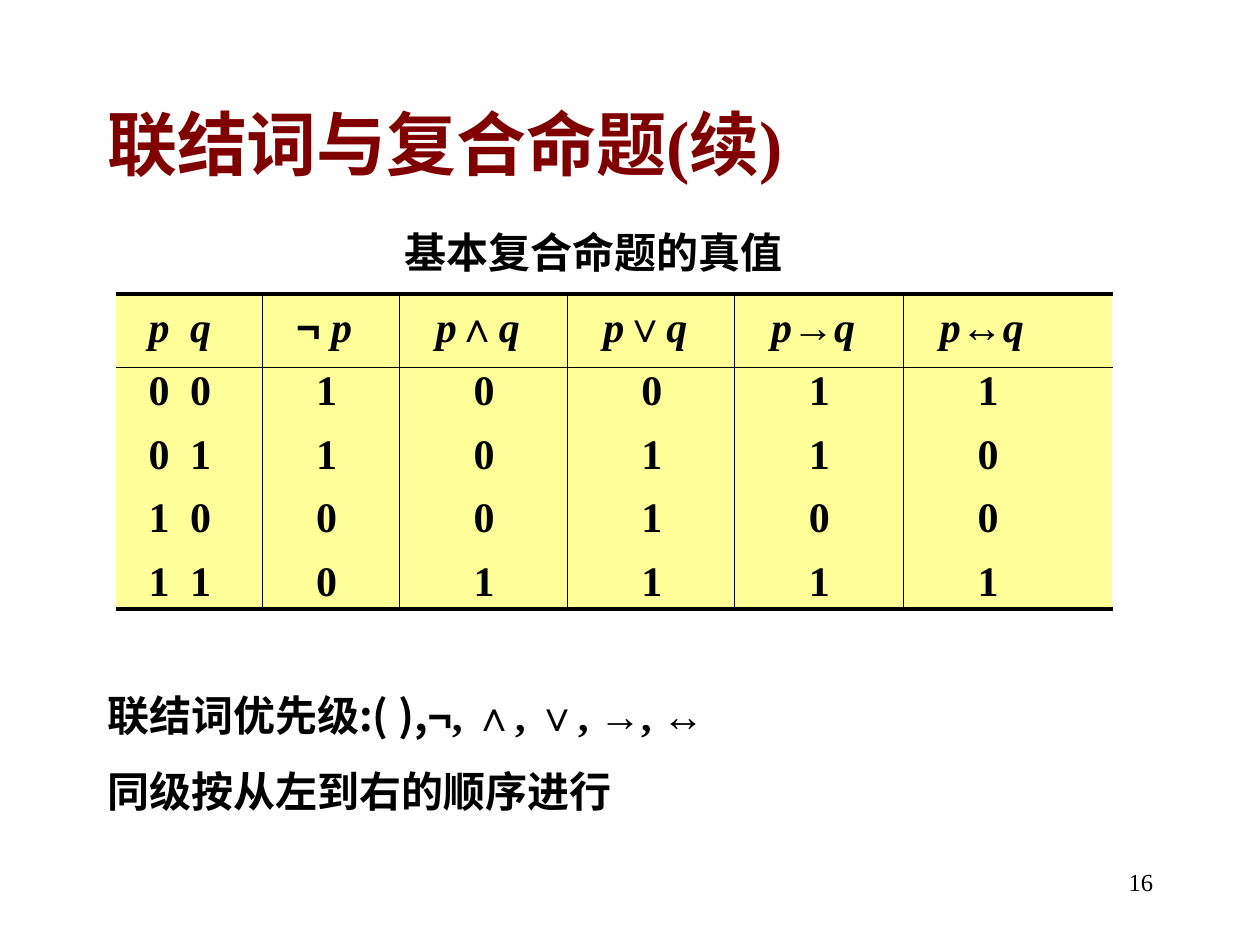
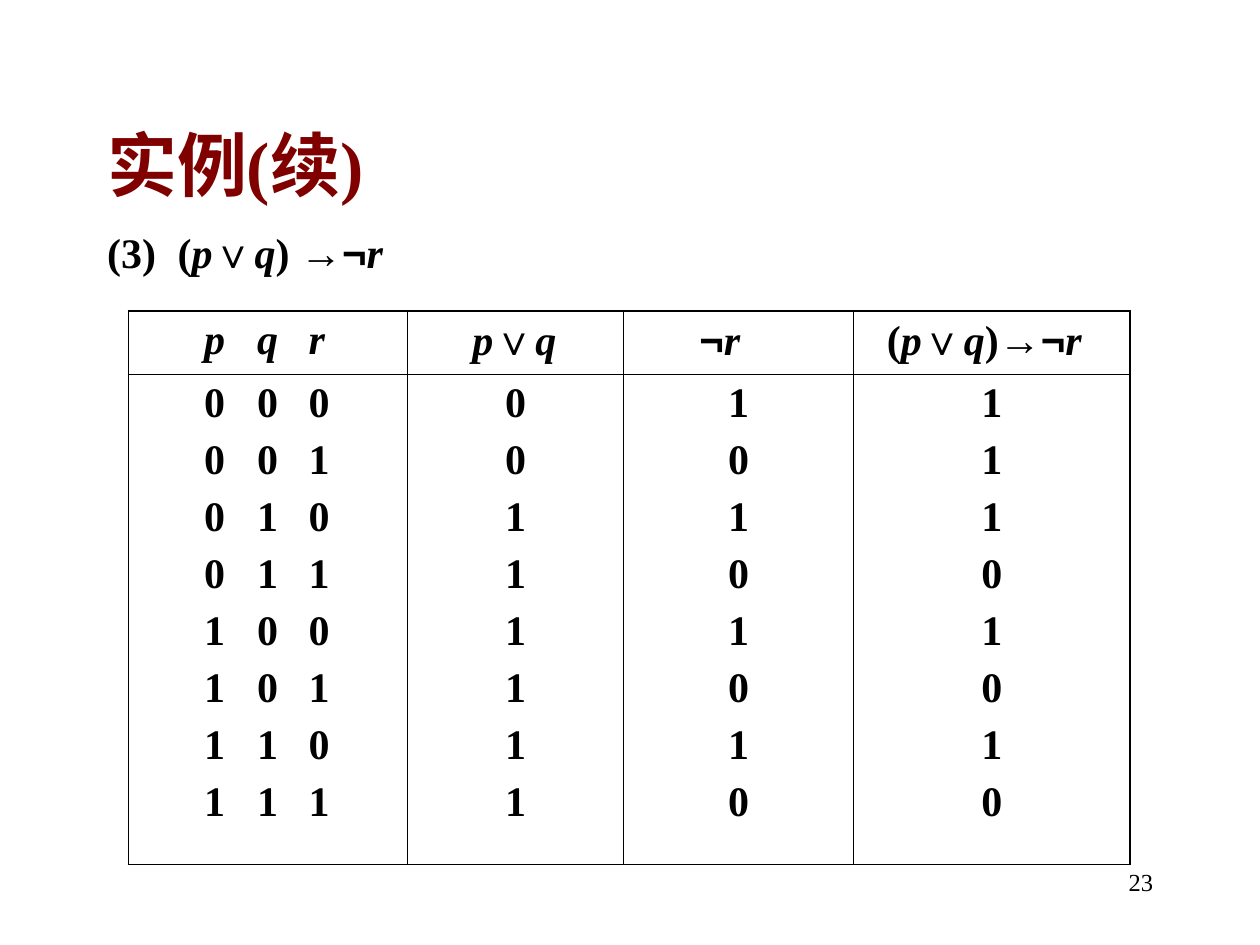
import itertools
import pptx
import pptx.dml.color
import pptx.enum.shapes
import pptx.enum.text
import pptx.oxml
import pptx.oxml.ns
import pptx.util

Inches = pptx.util.Inches
Pt = pptx.util.Pt
ALIGN = pptx.enum.text.PP_ALIGN
ANCHOR = pptx.enum.text.MSO_ANCHOR

HUES = {"title": "800000", "text": "000000", "cream": "FFFF99", "white": "FFFFFF"}
SERIF, SANS, HAN = "Times New Roman", "Arial", "Noto Sans CJK SC"
SIGNS = "¬∧∨→↔"
A_NS = pptx.oxml.ns.nsdecls("a")


def hue(name):
    return pptx.dml.color.RGBColor.from_string(HUES[name])


def kind(char):
    """Letters of formulas are slanted, logic signs take the sans font."""
    return "sign" if char in SIGNS else "var" if char in "pqr" else "plain"


def write(par, text, font=SERIF, size=24, color="text", bold=True):
    for sort, chars in itertools.groupby(text, kind):
        run = par.add_run()
        run.text = "".join(chars)
        face = SANS if sort == "sign" else font
        run.font.name, run.font.size, run.font.bold = face, Pt(size), bold
        run.font.italic = sort == "var"
        run.font.color.rgb = hue(color)
        east = SANS if sort == "sign" else HAN
        latin = run.font._element.find(pptx.oxml.ns.qn("a:latin"))
        latin.addnext(pptx.oxml.parse_xml(f'<a:ea {A_NS} typeface="{east}"/>'))


def set_tabs(par, stops):
    """Put tab stops, in inches from the left inset, into a paragraph."""
    marks = "".join(f'<a:tab pos="{Inches(x)}" algn="l"/>' for x in stops)
    props = par._p.get_or_add_pPr()
    props.append(pptx.oxml.parse_xml(f"<a:tabLst {A_NS}>{marks}</a:tabLst>"))


def place(shape, box):
    shape.left, shape.top, shape.width, shape.height = map(Inches, box)
    frame = shape.text_frame
    frame.word_wrap = True
    frame.auto_size = pptx.enum.text.MSO_AUTO_SIZE.NONE
    return frame


def add_text(slide, box, text, align, **style):
    par = place(slide.shapes.add_textbox(0, 0, 0, 0), box).paragraphs[0]
    par.alignment = align
    write(par, text, **style)


def add_page(deck, title, box, number):
    """Slide with the shared title style and page number."""
    slide = deck.slides.add_slide(deck.slide_layouts[1])
    frame = place(slide.shapes.title, box)
    frame.vertical_anchor = ANCHOR.MIDDLE
    frame.paragraphs[0].alignment = ALIGN.LEFT
    write(frame.paragraphs[0], title, size=40, color="title")
    add_text(slide, (7.17, 6.83, 2.08, 0.5), number, ALIGN.RIGHT, size=14, bold=False)
    return slide


def add_body(slide, box, lines, gap=0, hang=0):
    """Each line is a list of (text, font) pieces, without bullets."""
    frame = place(slide.placeholders[1], box)
    for i, line in enumerate(lines):
        par = frame.add_paragraph() if i else frame.paragraphs[0]
        par.space_before = Pt(gap if i else 0)
        props = par._p.get_or_add_pPr()
        props.set("marL", str(Inches(hang)))
        props.set("indent", str(-Inches(hang)))
        props.append(pptx.oxml.parse_xml(f"<a:buNone {A_NS}/>"))
        for text, font in line:
            write(par, text, font)


def edge(cell, side, width):
    """Draw one side of a cell; width 0 hides it."""
    fill = (f'<a:solidFill><a:srgbClr val="{HUES["text"]}"/></a:solidFill>'
            if width else "<a:noFill/>")
    line = pptx.oxml.parse_xml(f'<a:ln{side} {A_NS} w="{Pt(width)}">{fill}</a:ln{side}>')
    cell._tc.get_or_add_tcPr().append(line)


def add_truth(slide, box, cols, rows, heads, values, insets, look):
    """Truth table: a row of formulas over one row of value columns."""
    table = slide.shapes.add_table(2, len(cols), *map(Inches, box)).table
    table.horz_banding = table.first_row = False
    for col, width in zip(table.columns, cols):
        col.width = Inches(width)
    for row, height in zip(table.rows, rows):
        row.height = Inches(height)
    last = len(cols) - 1
    for r, lists in enumerate(([[head] for head in heads], values)):
        for c, texts in enumerate(lists):
            cell = table.cell(r, c)
            cell.margin_left, cell.margin_right = Inches(insets[r][c]), 0
            cell.margin_top, cell.margin_bottom = Inches(look["tops"][r]), 0
            # Borders come before the fill in the cell's properties
            edge(cell, "L", look["inner"] if c else look["outer"])
            edge(cell, "R", look["inner"] if c < last else look["outer"])
            edge(cell, "T", look["inner"] if r else look["outer"])
            edge(cell, "B", look["outer"] if r else look["inner"])
            cell.fill.solid()
            cell.fill.fore_color.rgb = hue(look["fill"])
            frame = cell.text_frame
            for i, text in enumerate(texts):
                par = frame.add_paragraph() if i else frame.paragraphs[0]
                par.space_before = Pt(look["gap"] if i else 0)
                if "\t" in text:
                    set_tabs(par, look["tabs"])
                write(par, text)


def add_rule(slide, start, end, width):
    line = slide.shapes.add_connector(
        pptx.enum.shapes.MSO_CONNECTOR.STRAIGHT, *map(Inches, start + end))
    line.line.color.rgb = hue("text")
    line.line.width = Pt(width)
    line._element.spPr.append(pptx.oxml.parse_xml(f"<a:effectLst {A_NS}/>"))


def add_rules(slide, box, cols, rows):
    """Heavy rules above and below, fine ones between rows and columns."""
    left, top, wide, high = box
    right, foot = left + wide, top + high
    for y, width in ((top + rows[0], 0.5), (top, 2.25), (foot, 2.25)):
        add_rule(slide, (left, y), (right, y), width)
    for x in itertools.accumulate(cols[:-1]):
        add_rule(slide, (left + x, top), (left + x, foot), 0.5)


def inputs(count):
    """All assignments of count variables, in counting order."""
    return ["\t".join(bits) for bits in itertools.product("01", repeat=count)]


def basic_slide(deck):
    slide = add_page(deck, "联结词与复合命题(续)", (0.75, 0.67, 8.5, 0.92), "16")
    add_body(slide, (0.75, 5.42, 7.67, 1.25), [
        [("联结词优先级:( ),", HAN), ("¬, ∧, ∨, →, ↔", SERIF)],
        [("同级按从左到右的顺序进行", HAN)],
    ], gap=15)
    add_text(slide, (2.42, 1.75, 4.58, 0.5), "基本复合命题的真值", ALIGN.CENTER)
    # The table has no borders of its own: its rules are lines
    box = (0.92, 2.33, 7.91, 2.5)
    cols, rows = (1.16, 1.09, 1.33, 1.33, 1.34, 1.66), (0.59, 1.91)
    look = {"fill": "cream", "outer": 0, "inner": 0,
            "tops": (0.09, 0), "gap": 9.9, "tabs": (0.33,)}
    add_truth(
        slide, box, cols, rows,
        heads=("p\tq", "¬ p", "p∧q", "p∨q", "p→q", "p↔q"),
        values=(inputs(2), "1100", "0001", "0111", "1101", "1001"),
        insets=([0.26, 0.27] + [0.29] * 4, [0.26, 0.43] + [0.59] * 4), look=look)
    add_rules(slide, box, cols, rows)


def case_slide(deck):
    slide = add_page(deck, "实例(续)", (0.75, 0.67, 8.5, 1.25), "23")
    add_body(slide, (0.75, 1.75, 8.5, 0.58),
             [[("(3)\t(p∨q) →¬r", SERIF)]], hang=0.56)
    look = {"fill": "white", "outer": 1.08, "inner": 0.45,
            "tops": (0.05, 0.05), "gap": 6, "tabs": (0.42, 0.83)}
    add_truth(
        slide, (1.02, 2.47, 7.95, 4.39),
        cols=(2.21, 1.72, 1.82, 2.2), rows=(0.5, 3.89),
        heads=("p\tq\tr", "p∨q", "¬r", "(p∨q)→¬r"),
        values=(inputs(3), "00111111", "10101010", "11101010"),
        insets=((0.6, 0.52, 0.6, 0.27), (0.6, 0.78, 0.83, 1.02)), look=look)


def main():
    deck = pptx.Presentation()
    deck.slide_width, deck.slide_height = Inches(10), Inches(7.5)
    basic_slide(deck)
    case_slide(deck)
    deck.save("out.pptx")


if __name__ == "__main__":
    main()
